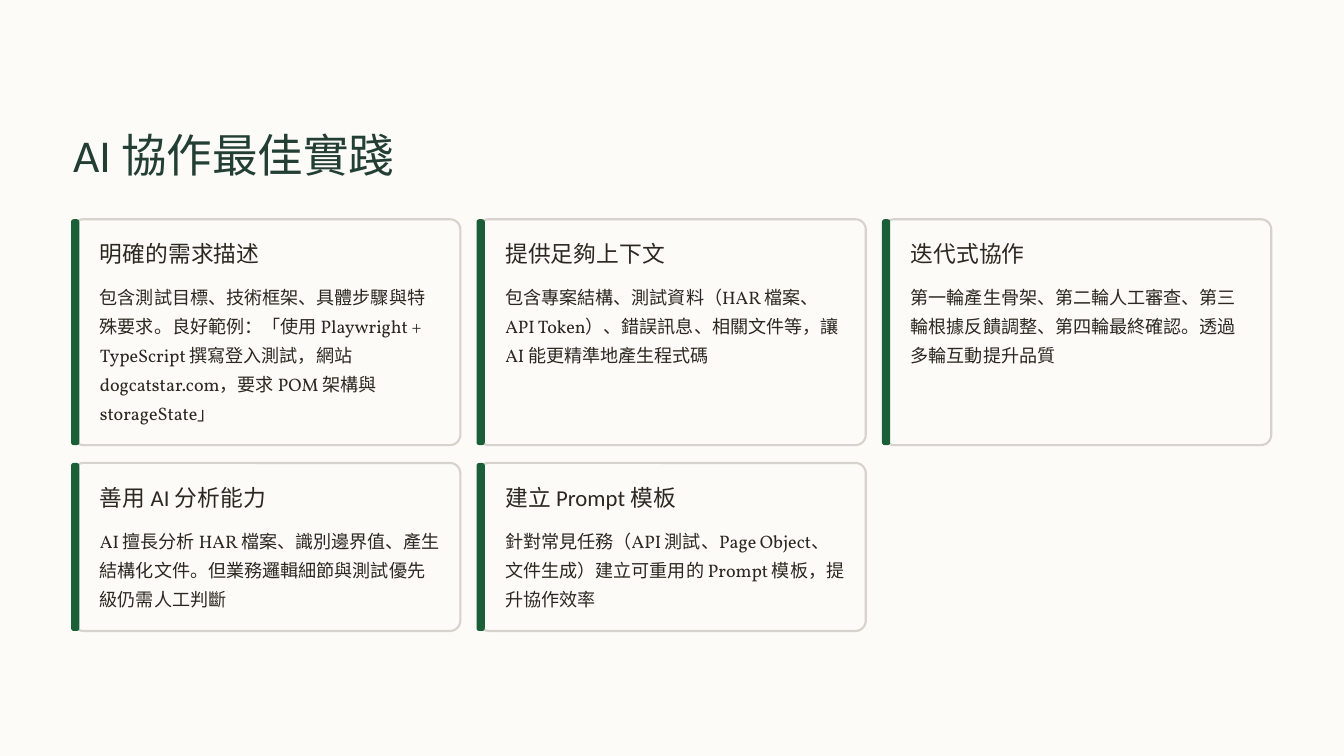
from dataclasses import dataclass

from pptx import Presentation
from pptx.dml.color import RGBColor
from pptx.enum.shapes import MSO_SHAPE as Preset
from pptx.enum.text import MSO_ANCHOR as Anchor, PP_ALIGN as Align
from pptx.shapes.autoshape import Shape
from pptx.slide import Slide
from pptx.util import Cm, Pt

COLORS = {
    "paper": "FCFBF8",
    "border": "D6D3CC",
    "accent": "1B5F39",
    "title": "233E32",
    "ink": "2C2821",
}
LEFT = 2.21
COLUMN_STEP = 12.26
CARD_WIDTH = 11.71
CARD_RADIUS = 0.31
ROW_TOPS = (6.63, 14.0)
ROW_HEIGHTS = (6.83, 5.08)
COLUMNS = 3
BAR_WIDTH = 0.25
BAR_RADIUS = 0.08
BAR_OVERHANG = 0.06
TEXT_INDENT = 0.81
BODY_LINE = 0.88


@dataclass(frozen=True)
class TextStyle:
    font: str
    size: float
    spacing: float
    color: str
    wrap: bool = False


@dataclass(frozen=True)
class Card:
    heading: str
    body: str
    lines: int = 3


TITLE = TextStyle("Calibri", 39, 48.5, "title")
HEADING = TextStyle("Calibri", 19.5, 24, "ink")
BODY = TextStyle("Vollkorn", 15.5, 25, "ink", wrap=True)

CARDS = (
    Card(
        "明確的需求描述",
        "包含測試目標、技術框架、具體步驟與特殊要求。良好範例：「使用 Playwright + "
        "TypeScript 撰寫登入測試，網站 dogcatstar.com，要求 POM 架構與 storageState」",
        lines=5,
    ),
    Card(
        "提供足夠上下文",
        "包含專案結構、測試資料（HAR 檔案、API Token）、錯誤訊息、相關文件等，"
        "讓 AI 能更精準地產生程式碼",
    ),
    Card(
        "迭代式協作",
        "第一輪產生骨架、第二輪人工審查、第三輪根據反饋調整、第四輪最終確認。"
        "透過多輪互動提升品質",
    ),
    Card(
        "善用 AI 分析能力",
        "AI 擅長分析 HAR 檔案、識別邊界值、產生結構化文件。"
        "但業務邏輯細節與測試優先級仍需人工判斷",
    ),
    Card(
        "建立 Prompt 模板",
        "針對常見任務（API 測試、Page Object、文件生成）建立可重用的 "
        "Prompt 模板，提升協作效率",
    ),
)


def rgb(name: str) -> RGBColor:
    return RGBColor.from_string(COLORS[name])


def add_text(page: Slide, text: str, style: TextStyle,
             left: float, top: float, width: float, height: float) -> None:
    box = page.shapes.add_textbox(Cm(left), Cm(top), Cm(width), Cm(height))
    frame = box.text_frame
    frame.margin_left = frame.margin_right = 0
    frame.margin_top = frame.margin_bottom = 0
    frame.vertical_anchor = Anchor.TOP
    frame.word_wrap = style.wrap
    para = frame.paragraphs[0]
    para.alignment = Align.LEFT
    para.line_spacing = Pt(style.spacing)
    span = para.add_run()
    span.text = text
    span.font.name = style.font
    span.font.size = Pt(style.size)
    span.font.color.rgb = rgb(style.color)


def add_rounded(page: Slide, left: float, top: float, width: float,
                height: float, radius: float, fill: str) -> Shape:
    shape = page.shapes.add_shape(
        Preset.ROUNDED_RECTANGLE, Cm(left), Cm(top), Cm(width), Cm(height))
    shape.adjustments[0] = radius / min(width, height)
    shape.shadow.inherit = False
    shape.fill.solid()
    shape.fill.fore_color.rgb = rgb(fill)
    shape.line.fill.background()
    return shape


def add_card(page: Slide, card: Card, left: float, top: float,
             height: float) -> None:
    panel = add_rounded(page, left, top, CARD_WIDTH, height, CARD_RADIUS, "paper")
    panel.line.color.rgb = rgb("border")
    panel.line.width = Pt(1.8)
    add_rounded(page, left - BAR_OVERHANG, top, BAR_WIDTH, height,
                BAR_RADIUS, "accent")
    text_left = left + TEXT_INDENT
    add_text(page, card.heading, HEADING, text_left, top + 0.61, 6.88, 0.86)
    add_text(page, card.body, BODY, text_left, top + 1.8, 10.29,
             card.lines * BODY_LINE)


def main() -> None:
    deck = Presentation()
    deck.slide_width = Cm(40.64)
    deck.slide_height = Cm(22.86)
    page = deck.slides.add_slide(deck.slide_layouts[6])
    page.background.fill.solid()
    page.background.fill.fore_color.rgb = rgb("paper")
    add_text(page, "AI 協作最佳實踐", TITLE, LEFT, 3.78, 13.79, 1.73)
    for index, card in enumerate(CARDS):
        row, column = divmod(index, COLUMNS)
        add_card(page, card, LEFT + column * COLUMN_STEP,
                 ROW_TOPS[row], ROW_HEIGHTS[row])
    deck.save("out.pptx")


if __name__ == "__main__":
    main()
